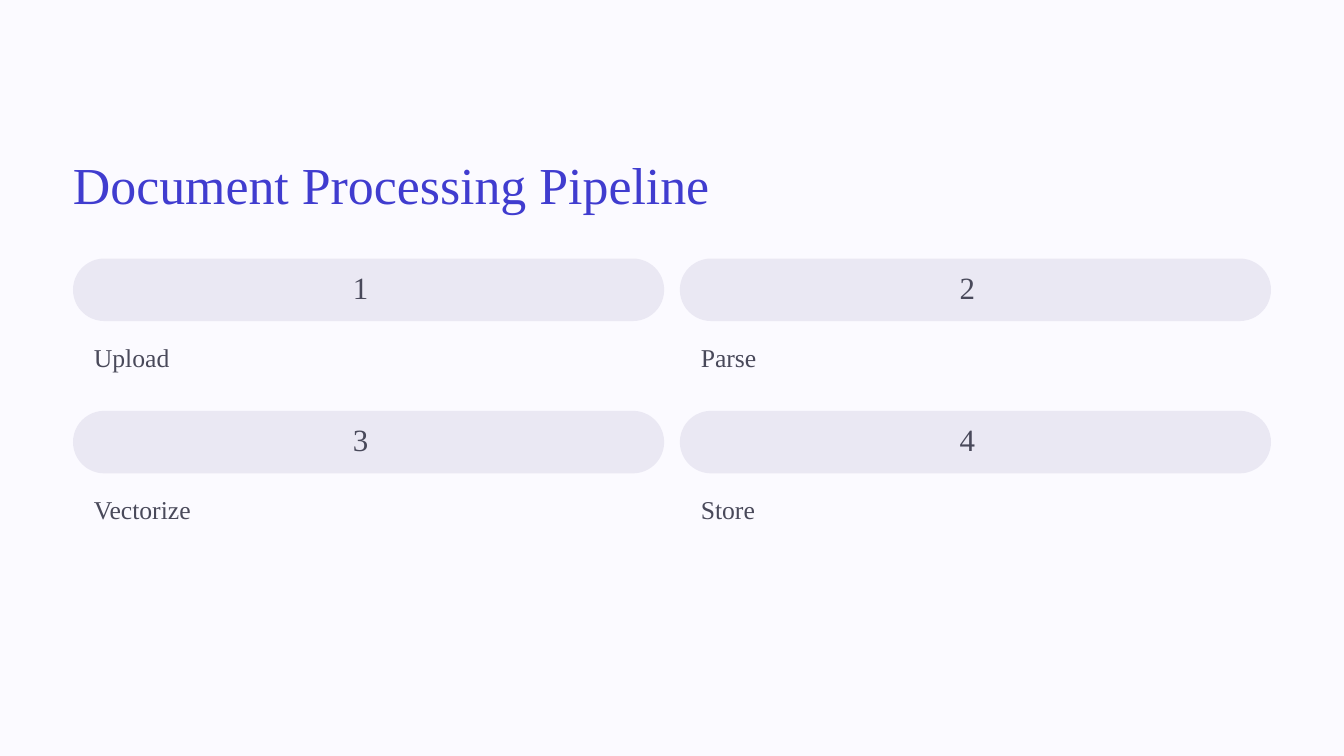
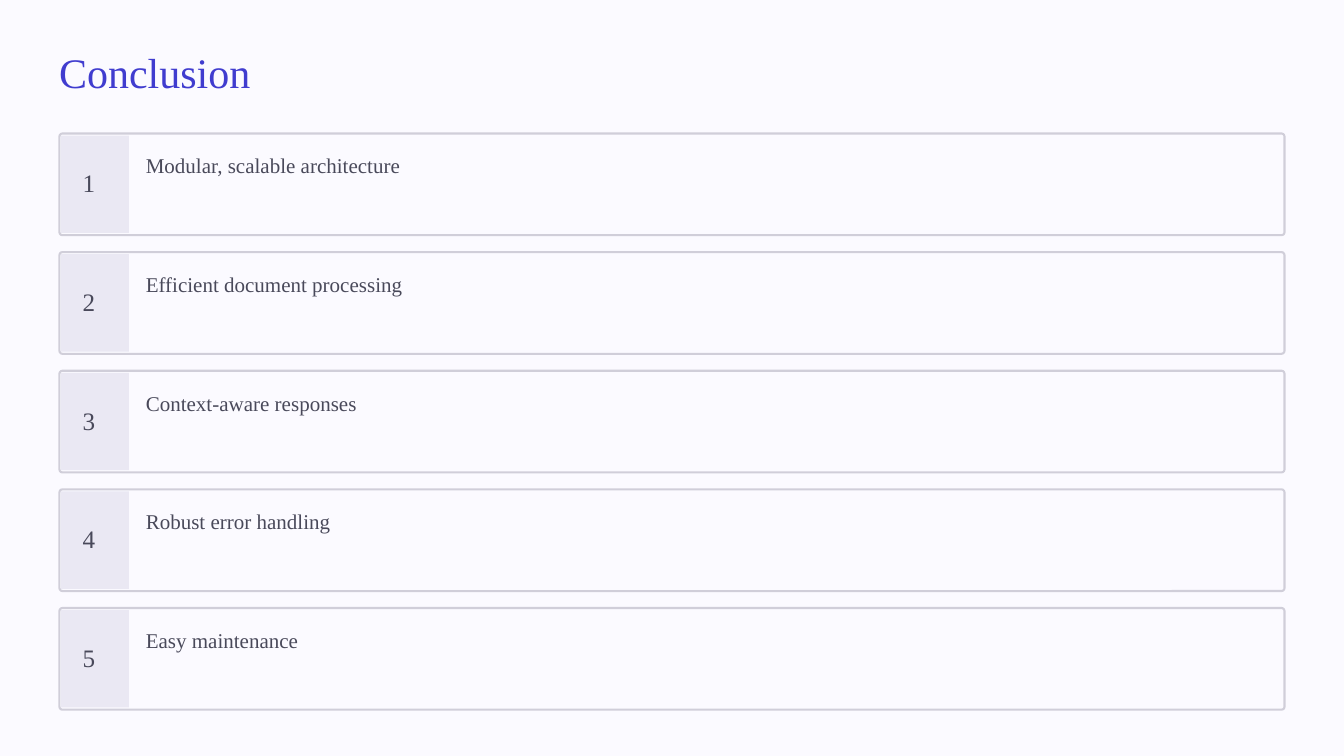
from pptx import Presentation
from pptx.dml.color import RGBColor
from pptx.enum.shapes import MSO_SHAPE
from pptx.enum.text import MSO_AUTO_SIZE
from pptx.util import Pt

FONT = "Times New Roman"
PAPER = RGBColor(0xFB, 0xFA, 0xFF)
INDIGO = RGBColor(0x40, 0x3C, 0xCF)
LAVENDER = RGBColor(0xEA, 0xE8, 0xF3)
BORDER = RGBColor(0xD0, 0xCE, 0xD9)
SLATE = RGBColor(0x49, 0x49, 0x5A)


def add_text(s, text, *, x, y, w, h, size, spacing, color=SLATE):
    tf = s.shapes.add_textbox(Pt(x), Pt(y), Pt(w), Pt(h)).text_frame
    tf.margin_left = tf.margin_right = tf.margin_top = tf.margin_bottom = 0
    tf.word_wrap = True
    tf.auto_size = MSO_AUTO_SIZE.SHAPE_TO_FIT_TEXT
    p = tf.paragraphs[0]
    p.line_spacing = Pt(spacing)
    r = p.add_run()
    r.text = text
    r.font.name = FONT
    r.font.size = Pt(size)
    r.font.color.rgb = color


def add_panel(s, kind, x, y, w, h, fill=None, line=None):
    sp = s.shapes.add_shape(kind, Pt(x), Pt(y), Pt(w), Pt(h))
    sp.shadow.inherit = False
    if fill is None:
        sp.fill.background()
    else:
        sp.fill.solid()
        sp.fill.fore_color.rgb = fill
    if line is None:
        sp.line.fill.background()
    else:
        sp.line.color.rgb = line
        sp.line.width = Pt(2.25)
    return sp


prs = Presentation()
prs.slide_width, prs.slide_height = Pt(1440), Pt(810)
pipeline, conclusion = [prs.slides.add_slide(prs.slide_layouts[6]) for _ in range(2)]
for s in (pipeline, conclusion):
    s.background.fill.solid()
    s.background.fill.fore_color.rgb = PAPER

add_text(pipeline, "Document Processing Pipeline", x=78.2, y=160.5, w=875, h=72,
         size=55.6, spacing=69.4, color=INDIGO)
for i, step in enumerate(["Upload", "Parse", "Vectorize", "Store"]):
    row, col = divmod(i, 2)
    x, y = 78.2 + col * 650.2, 277 + row * 163.2
    pill = add_panel(pipeline, MSO_SHAPE.ROUNDED_RECTANGLE, x, y, 633.4, 67, fill=LAVENDER)
    pill.adjustments[0] = 0.5
    add_text(pipeline, str(i + 1), x=x + 299.8, y=y + 17, w=34, h=37.5,
             size=33.1, spacing=33.1)
    add_text(pipeline, step, x=x + 22.4, y=y + 87.7, w=279, h=36.7,
             size=27.5, spacing=34.4)

add_text(conclusion, "Conclusion", x=63.3, y=48.2, w=454, h=58,
         size=45, spacing=56.2, color=INDIGO)
points = ["Modular, scalable architecture", "Efficient document processing",
          "Context-aware responses", "Robust error handling", "Easy maintenance"]
for i, point in enumerate(points):
    y = 143 + i * 127.1
    card = add_panel(conclusion, MSO_SHAPE.ROUNDED_RECTANGLE, 63.7, y, 1312.6, 109, line=BORDER)
    card.adjustments[0] = 0.03
    add_panel(conclusion, MSO_SHAPE.RECTANGLE, 65.5, y + 2.2, 72.7, 104.4, fill=LAVENDER)
    add_text(conclusion, str(i + 1), x=88.6, y=y + 42, w=27.4, h=29.5,
             size=26.9, spacing=26.9)
    add_text(conclusion, point, x=156.2, y=y + 19.7, w=356, h=28.8,
             size=22.5, spacing=28.1)

prs.save("out.pptx")
